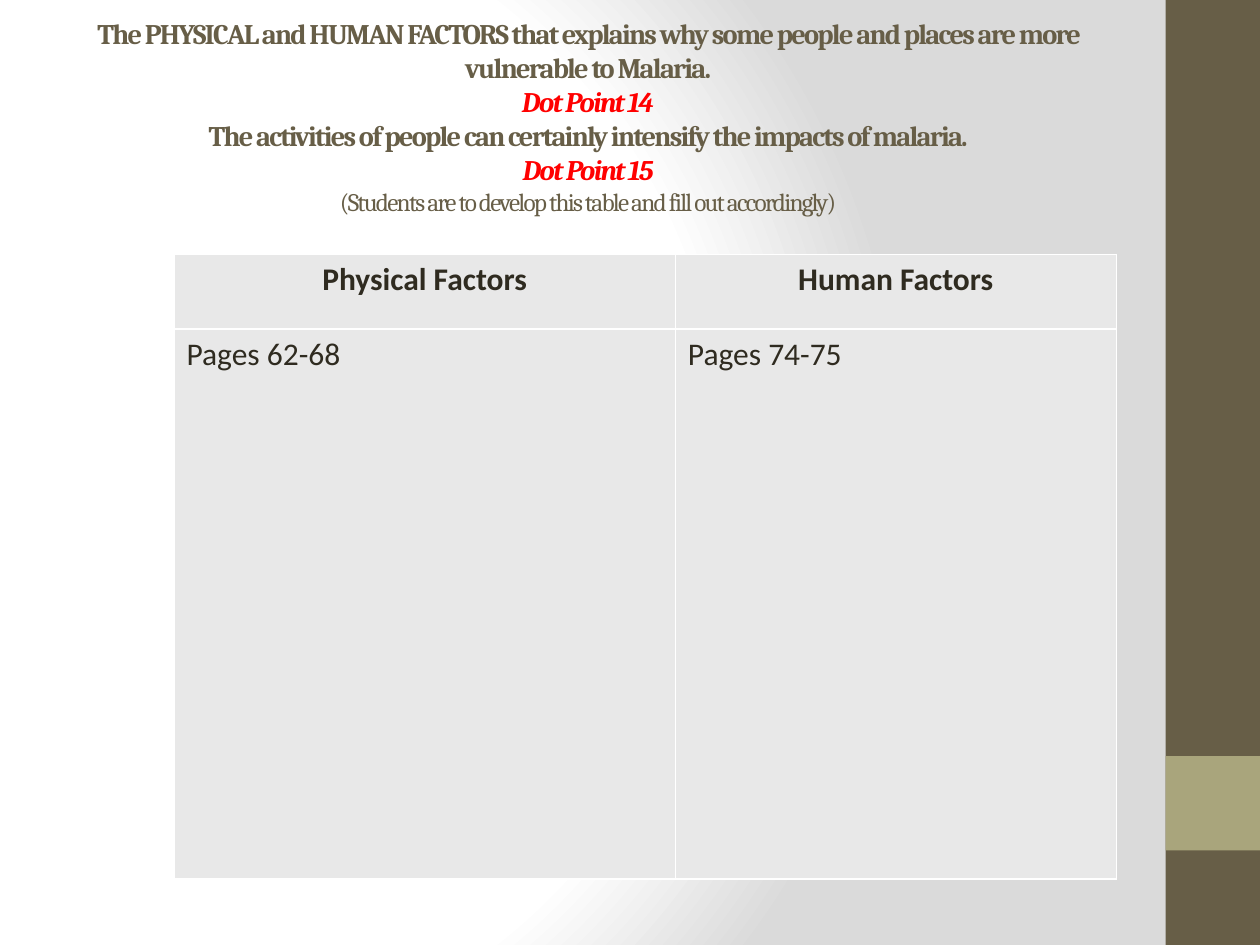
from lxml import etree
from pptx import Presentation
from pptx.dml.color import RGBColor
from pptx.enum import shapes, text
from pptx.oxml import ns, parse_xml
from pptx.util import Pt

COLORS = {"olive": "675E47", "sage": "A9A57C", "red": "FF0000", "ink": "2F2B20",
          "cell": "E8E8E8", "white": "FFFFFF", "grey": "DADADA"}

HEADING = {"name": "Cambria", "size": Pt(16.2), "bold": True, "italic": False}
DOT_POINT = {**HEADING, "italic": True}
INSTRUCTION = {**HEADING, "size": Pt(14.4), "bold": False}
TABLE_HEAD = {"name": "Calibri", "size": Pt(18), "bold": True}
TABLE_BODY = {**TABLE_HEAD, "bold": False}

TITLE_LINES = [
    ("The PHYSICAL and HUMAN FACTORS that explains why some people and places "
     "are more vulnerable to Malaria.", HEADING, "olive"),
    ("Dot Point 14", DOT_POINT, "red"),
    ("The activities of people can certainly intensify the impacts of malaria.",
     HEADING, "olive"),
    ("Dot Point 15", DOT_POINT, "red"),
    ("(Students are to develop this table and fill out accordingly)",
     INSTRUCTION, "olive"),
]
FACTORS = [("Physical Factors", "Human Factors"), ("Pages 62-68", "Pages 74-75")]


def rgb(color):
    return RGBColor.from_string(COLORS[color])


def write(paragraph, wording, style, color, align):
    paragraph.alignment = align
    run = paragraph.add_run()
    run.text = wording
    for attribute, value in style.items():
        setattr(run.font, attribute, value)
    run.font.color.rgb = rgb(color)
    return run


def paint_background(slide):
    slide.background.fill.gradient()
    gradient = slide.element.xpath(".//p:bgPr/a:gradFill")[0]
    stops = "".join(
        f'<a:gs pos="{place * 1000}"><a:srgbClr val="{COLORS[color]}"/></a:gs>'
        for place, color in [(0, "white"), (75, "white"), (100, "grey")])
    radial = parse_xml(
        f'<a:gradFill {ns.nsdecls("a")} rotWithShape="1"><a:gsLst>{stops}</a:gsLst>'
        '<a:path path="circle"><a:fillToRect l="20000" t="50000" r="100000" b="50000"/>'
        '</a:path></a:gradFill>')
    gradient.getparent().replace(gradient, radial)


def add_side_band(slide, left, top, width, height):
    square_top = top + height - 2 * width
    for color, y, tall in [("olive", top, height), ("sage", square_top, width)]:
        band = slide.shapes.add_shape(shapes.MSO_SHAPE.RECTANGLE, left, y, width, tall)
        band.shadow.inherit = False
        band.fill.solid()
        band.fill.fore_color.rgb = rgb(color)
        band.line.fill.background()


def add_title(slide, left, top, width, height):
    frame = slide.shapes.add_textbox(left, top, width, height).text_frame
    frame.word_wrap = True
    frame.vertical_anchor = text.MSO_ANCHOR.MIDDLE
    for index, (wording, style, color) in enumerate(TITLE_LINES):
        paragraph = frame.add_paragraph() if index else frame.paragraphs[0]
        run = write(paragraph, wording, style, color, text.PP_ALIGN.CENTER)
        run.font._element.set("spc", "-100")


def add_borders(cell):
    properties = cell._tc.get_or_add_tcPr()
    for position, side in enumerate(("lnL", "lnR", "lnT", "lnB")):
        border = etree.Element(ns.qn(f"a:{side}"), w=str(Pt(1)))
        fill = etree.SubElement(border, ns.qn("a:solidFill"))
        etree.SubElement(fill, ns.qn("a:srgbClr"), val=COLORS["white"])
        properties.insert(position, border)


def add_factor_table(slide, left, top, width, height):
    table = slide.shapes.add_table(2, 2, left, top, width, height).table
    physical_width, head_height = Pt(286.5), Pt(42.5)
    for column, wide in zip(table.columns, (physical_width, width - physical_width)):
        column.width = wide
    for row, tall in zip(table.rows, (head_height, height - head_height)):
        row.height = tall
    looks = [(TABLE_HEAD, text.PP_ALIGN.CENTER), (TABLE_BODY, text.PP_ALIGN.LEFT)]
    for y, (wordings, (style, align)) in enumerate(zip(FACTORS, looks)):
        for x, wording in enumerate(wordings):
            cell = table.cell(y, x)
            cell.fill.solid()
            cell.fill.fore_color.rgb = rgb("cell")
            add_borders(cell)
            write(cell.text_frame.paragraphs[0], wording, style, "ink", align)


def main():
    deck = Presentation()
    deck.slide_width, deck.slide_height = Pt(720), Pt(540)
    slide = deck.slides.add_slide(deck.slide_layouts[6])
    paint_background(slide)
    add_side_band(slide, Pt(666), Pt(0), Pt(54), Pt(540))
    add_title(slide, Pt(36), Pt(21.6), Pt(600), Pt(90))
    add_factor_table(slide, Pt(99.4), Pt(145.4), Pt(538.5), Pt(357))
    deck.save("out.pptx")


if __name__ == "__main__":
    main()
